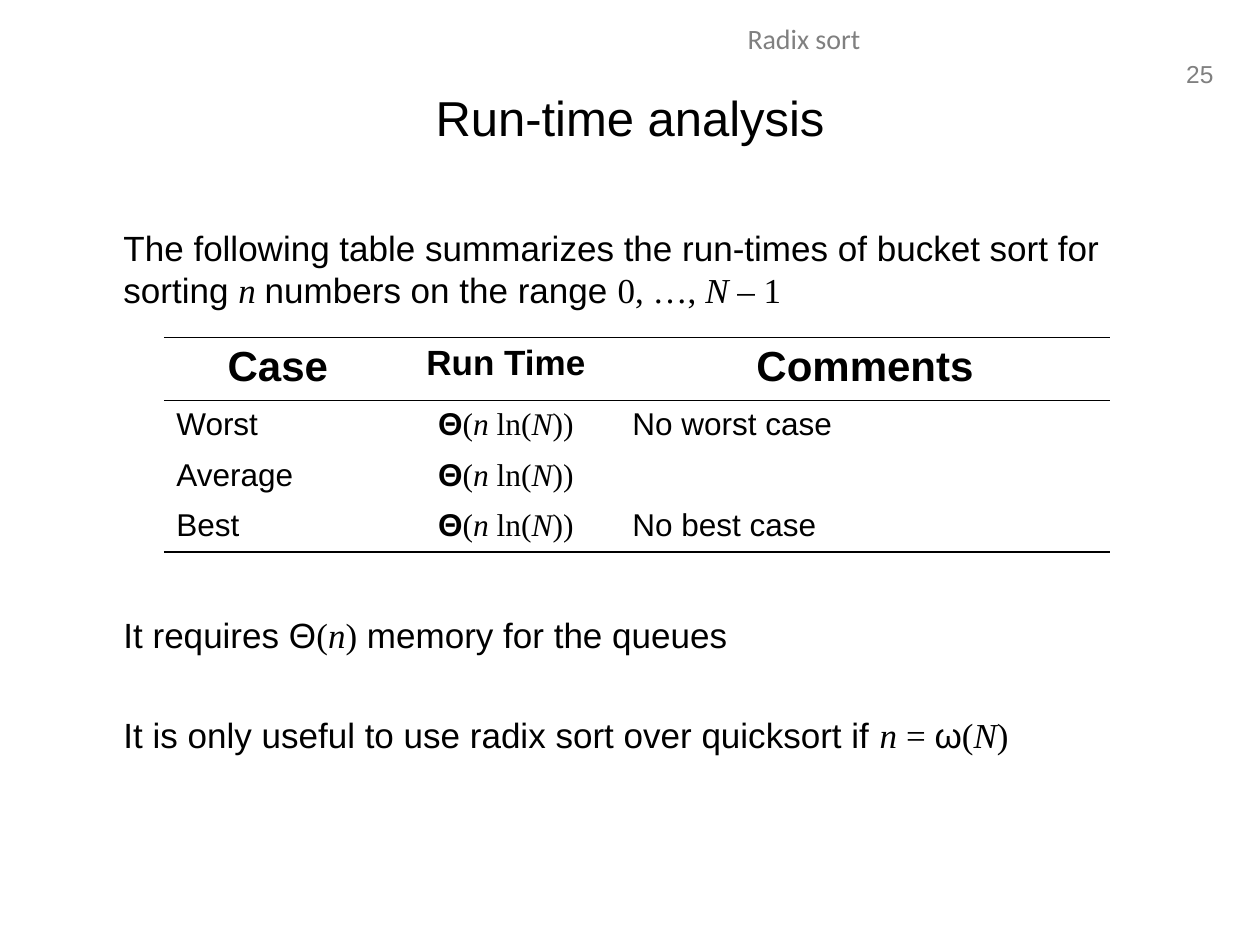
from lxml.etree import SubElement
from pptx import Presentation
from pptx.dml.color import RGBColor
from pptx.enum.text import MSO_ANCHOR as Anchor, MSO_AUTO_SIZE as AutoSize, PP_ALIGN as Align
from pptx.oxml import parse_xml
from pptx.oxml.ns import nsdecls, qn
from pptx.util import Inches, Pt

COLORS = {"text": "000000", "muted": "808080"}
COLUMNS, ROWS = 100, 75  # slide grid
CELL = Inches(0.1)

# Run styles: font name, bold, italic
STYLES = {
    "sans": ("Arial", False, False),
    "bold": ("Arial", True, False),
    "label": ("Calibri", False, False),
    "math": ("Times New Roman", False, False),
    "variable": ("Times New Roman", False, True),
}
RUN_TIME = [("Θ", "bold"), ("(", "math"), ("n ", "variable"),
            ("ln(", "math"), ("N", "variable"), ("))", "math")]


def grid(*units):
    return [round(unit * CELL) for unit in units]


def add_runs(paragraph, runs, size, color="text", align=Align.LEFT):
    paragraph.alignment = align
    for text, style in runs:
        run = paragraph.add_run()
        run.text = text
        font = run.font
        font.name, font.bold, font.italic = STYLES[style]
        font.size = Pt(size)
        font.color.rgb = RGBColor.from_string(COLORS[color])


def place(shape, left, top, width, height):
    shape.left, shape.top, shape.width, shape.height = grid(left, top, width, height)


def add_label(slide, box, text, style, size, align, wrap=True):
    frame = slide.shapes.add_textbox(*grid(*box)).text_frame
    frame.word_wrap = wrap
    add_runs(frame.paragraphs[0], [(text, style)], size, "muted", align)


def set_title(slide, text):
    title = slide.shapes.title
    place(title, 5, 3, 90, 12.5)
    title.text_frame.vertical_anchor = Anchor.MIDDLE
    add_runs(title.text_frame.paragraphs[0], [(text, "sans")], 28, align=Align.CENTER)


def set_body(slide, items):
    body = slide.placeholders[1]
    place(body, 5, 17.5, 90, 49.5)
    frame = body.text_frame
    frame.auto_size = AutoSize.NONE
    for index, (space_before, runs) in enumerate(items):
        paragraph = frame.add_paragraph() if index else frame.paragraphs[0]
        properties = paragraph._p.get_or_add_pPr()
        properties.set("marL", str(Inches(0.38)))
        properties.set("indent", "0")
        SubElement(properties, qn("a:buNone"))
        paragraph.space_before = Pt(space_before)
        add_runs(paragraph, runs, 20)


def set_borders(cell, visible):
    """Draw the visible sides of a cell and clear the other ones."""
    properties = cell._tc.get_or_add_tcPr()
    for index, side in enumerate("LRTB"):
        if side in visible:
            paint = f'<a:solidFill><a:srgbClr val="{COLORS["text"]}"/></a:solidFill>'
        else:
            paint = "<a:noFill/>"
        properties.insert(index, parse_xml(
            f'<a:ln{side} {nsdecls("a")} w="{Pt(1)}">{paint}</a:ln{side}>'))


def add_run_time_table(slide, rows):
    widths, heights = (18.1, 18.1, 38.9), (5, 4, 4, 4)
    box = grid(13, 26.8, sum(widths), sum(heights))
    table = slide.shapes.add_table(len(rows), len(widths), *box).table
    table.first_row = table.horz_banding = False
    for column, width in zip(table.columns, grid(*widths)):
        column.width = width
    for row, height in zip(table.rows, grid(*heights)):
        row.height = height

    # Rules above and below the header, and under the last row
    borders = {0: "TB", 1: "T", len(rows) - 1: "B"}
    for row_index, row in enumerate(rows):
        for column_index, (runs, size) in enumerate(row):
            cell = table.cell(row_index, column_index)
            cell.fill.background()
            set_borders(cell, borders.get(row_index, ""))
            centred = row_index == 0 or column_index == 1
            add_runs(cell.text_frame.paragraphs[0], runs, size,
                     align=Align.CENTER if centred else Align.LEFT)


def case_row(case, comment):
    comment_runs = [(comment, "sans")] if comment else []
    return [([(case, "sans")], 18), (RUN_TIME, 18), (comment_runs, 18)]


def main():
    presentation = Presentation()
    presentation.slide_width, presentation.slide_height = grid(COLUMNS, ROWS)
    slide = presentation.slides.add_slide(presentation.slide_layouts[1])

    # Page number and section name
    add_label(slide, (92.9, 4.2, 4.4, 3.3), "25", "sans", 14, Align.RIGHT, wrap=False)
    add_label(slide, (31.9, 1.2, 63.8, 4), "Radix sort", "label", 16, Align.CENTER)

    # Title and statements, with room left for the table
    set_title(slide, "Run-time analysis")
    set_body(slide, [
        (0, [("The following table summarizes the run-times of bucket sort for sorting ", "sans"),
             ("n ", "variable"), ("numbers on the range ", "sans"),
             ("0, …, ", "math"), ("N", "variable"), (" – 1", "math")]),
        (173, [("It requires Θ", "sans"), ("(", "math"), ("n", "variable"),
               (")", "math"), (" memory for the queues", "sans")]),
        (33, [("It is only useful to use radix sort over quicksort if ", "sans"),
              ("n ", "variable"), ("= ", "math"), ("ω", "sans"),
              ("(", "math"), ("N", "variable"), (")", "math")]),
    ])

    # Run times by case
    header = [([(text, "bold")], size)
              for text, size in (("Case", 24), ("Run Time", 20), ("Comments", 24))]
    add_run_time_table(slide, [
        header,
        case_row("Worst", "No worst case"),
        case_row("Average", ""),
        case_row("Best", "No best case"),
    ])
    presentation.save("out.pptx")


if __name__ == "__main__":
    main()
